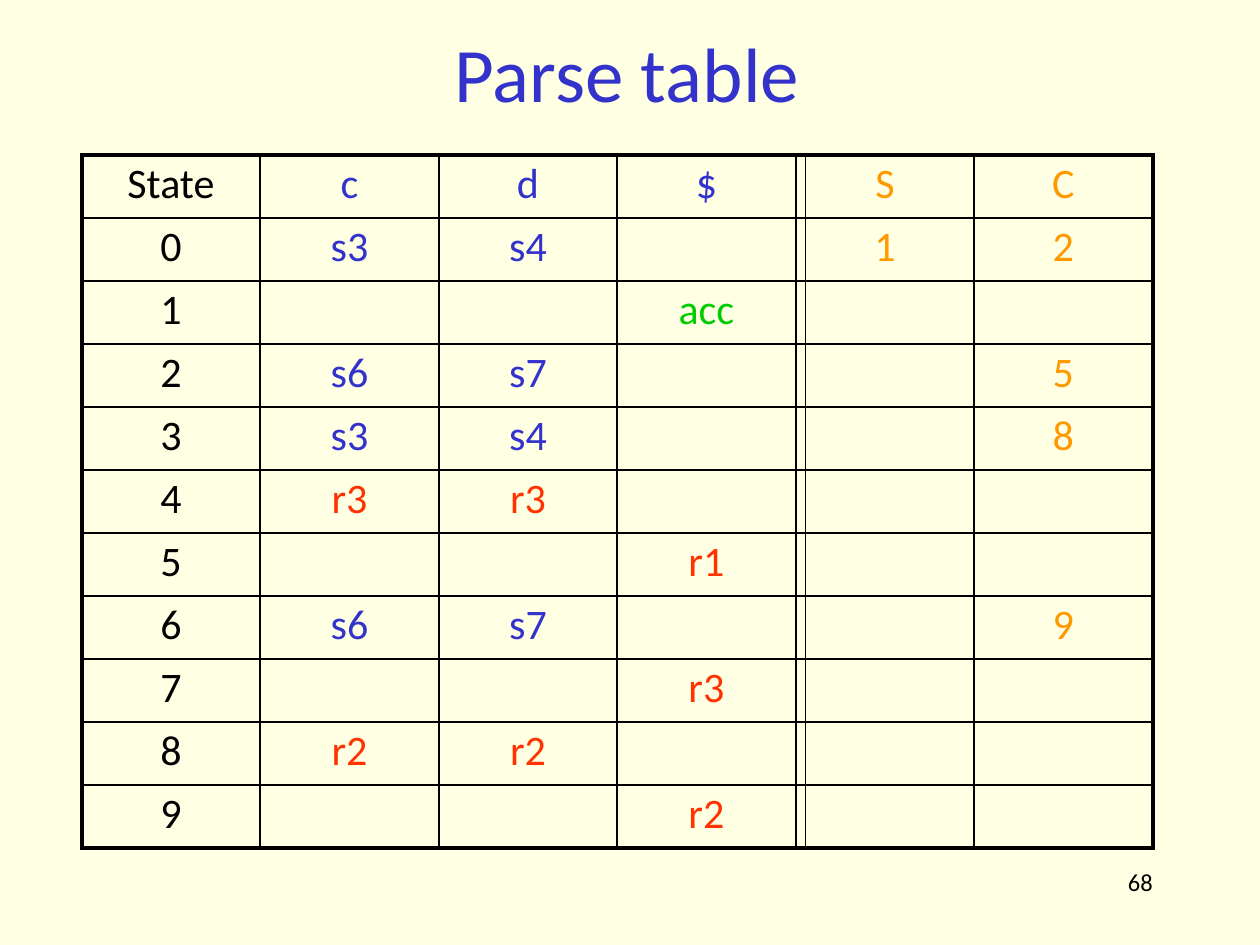
from dataclasses import dataclass

from lxml.etree import SubElement
from pptx import Presentation
from pptx.dml.color import RGBColor
from pptx.enum.text import MSO_ANCHOR, MSO_AUTO_SIZE, PP_ALIGN
from pptx.oxml.ns import qn
from pptx.util import Pt


@dataclass(frozen=True)
class Theme:
    font: str = "Calibri"
    page: RGBColor = RGBColor.from_string("FFFFE4")
    ink: RGBColor = RGBColor.from_string("000000")
    shift: RGBColor = RGBColor.from_string("3333CC")
    reduce: RGBColor = RGBColor.from_string("FF3300")
    accept: RGBColor = RGBColor.from_string("00CC00")
    goto: RGBColor = RGBColor.from_string("FF9900")
    title_size: int = 44
    cell_size: int = 24
    number_size: int = 14
    frame: float = 2.25
    rule: float = 1
    gap_rule: float = 0.75


T = Theme()
PX = 914400 / 126


def px(*lengths):
    return [round(n * PX) for n in lengths]


def style(p, size, color, align):
    p.alignment = align
    p.font.name, p.font.size, p.font.color.rgb = T.font, Pt(size), color


prs = Presentation()
prs.slide_width, prs.slide_height = px(1260, 945)
s = prs.slides.add_slide(prs.slide_layouts[5])
s.background.fill.solid()
s.background.fill.fore_color.rgb = T.page

# Title
title = s.shapes.title
title.left, title.top, title.width, title.height = px(181, 25, 892, 96)
tf = title.text_frame
tf.auto_size = MSO_AUTO_SIZE.NONE
tf.vertical_anchor = MSO_ANCHOR.TOP
tf.margin_left = tf.margin_right = tf.margin_bottom = 0
tf.margin_top = px(1)[0]
p = tf.paragraphs[0]
p.text = "Parse table"
p.space_before = Pt(1.1)
style(p, T.title_size, T.shift, PP_ALIGN.CENTER)

# Parse table: state, actions, a narrow gap that makes a double rule, gotos
GAP = 4
rows = [
    ["State", "c", "d", "$", "", "S", "C"],
    ["0", "s3", "s4", "", "", "1", "2"],
    ["1", "", "", "acc", "", "", ""],
    ["2", "s6", "s7", "", "", "", "5"],
    ["3", "s3", "s4", "", "", "", "8"],
    ["4", "r3", "r3", "", "", "", ""],
    ["5", "", "", "r1", "", "", ""],
    ["6", "s6", "s7", "", "", "", "9"],
    ["7", "", "", "r3", "", "", ""],
    ["8", "r2", "r2", "", "", "", ""],
    ["9", "", "", "r2", "", "", ""],
]
edges = px(82, 260, 439, 617, 796, 806, 974, 1153)
last_row, last_col = len(rows) - 1, len(rows[0]) - 1
top, row_height, gap_width, cell_top = px(155, 63, 10, 4)
table = s.shapes.add_table(len(rows), len(rows[0]), edges[0], top,
                           edges[-1] - edges[0], row_height * len(rows)).table
table.first_row = table.horz_banding = False
for column, left, right in zip(table.columns, edges, edges[1:]):
    column.width = right - left

for i, row in enumerate(rows):
    table.rows[i].height = row_height
    for j, text in enumerate(row):
        cell = table.cell(i, j)
        cell.margin_left = cell.margin_bottom = 0
        cell.margin_right = gap_width if j == GAP + 1 else 0
        cell.margin_top = cell_top
        if j == 0:
            color = T.ink
        elif j > GAP:
            color = T.goto
        elif text == "acc":
            color = T.accept
        else:
            color = T.reduce if text.startswith("r") else T.shift
        p = cell.text_frame.paragraphs[0]
        p.text = text
        p.space_before = Pt(2)
        style(p, T.cell_size, color, PP_ALIGN.CENTER)

        borders = {
            "a:lnL": T.frame if j == 0 else T.gap_rule if j == GAP + 1 else T.rule,
            "a:lnR": T.frame if j == last_col else T.gap_rule if j == GAP else T.rule,
            "a:lnT": T.frame if i == 0 else T.rule,
            "a:lnB": T.frame if i == last_row else T.rule,
        }
        tcPr = cell._tc.get_or_add_tcPr()
        for side, width in borders.items():
            ln = SubElement(tcPr, qn(side), w=str(Pt(width)))
            fill = SubElement(ln, qn("a:solidFill"))
            SubElement(fill, qn("a:srgbClr"), val=str(T.ink))
        cell.fill.background()

# Slide number
tf = s.shapes.add_textbox(*px(1123, 871, 37, 28)).text_frame
tf.word_wrap = True
tf.margin_left = px(5)[0]
tf.margin_right = tf.margin_top = tf.margin_bottom = 0
p = tf.paragraphs[0]
p.text = "68"
p.line_spacing = Pt(14.3)
style(p, T.number_size, T.ink, PP_ALIGN.LEFT)

prs.save("out.pptx")
